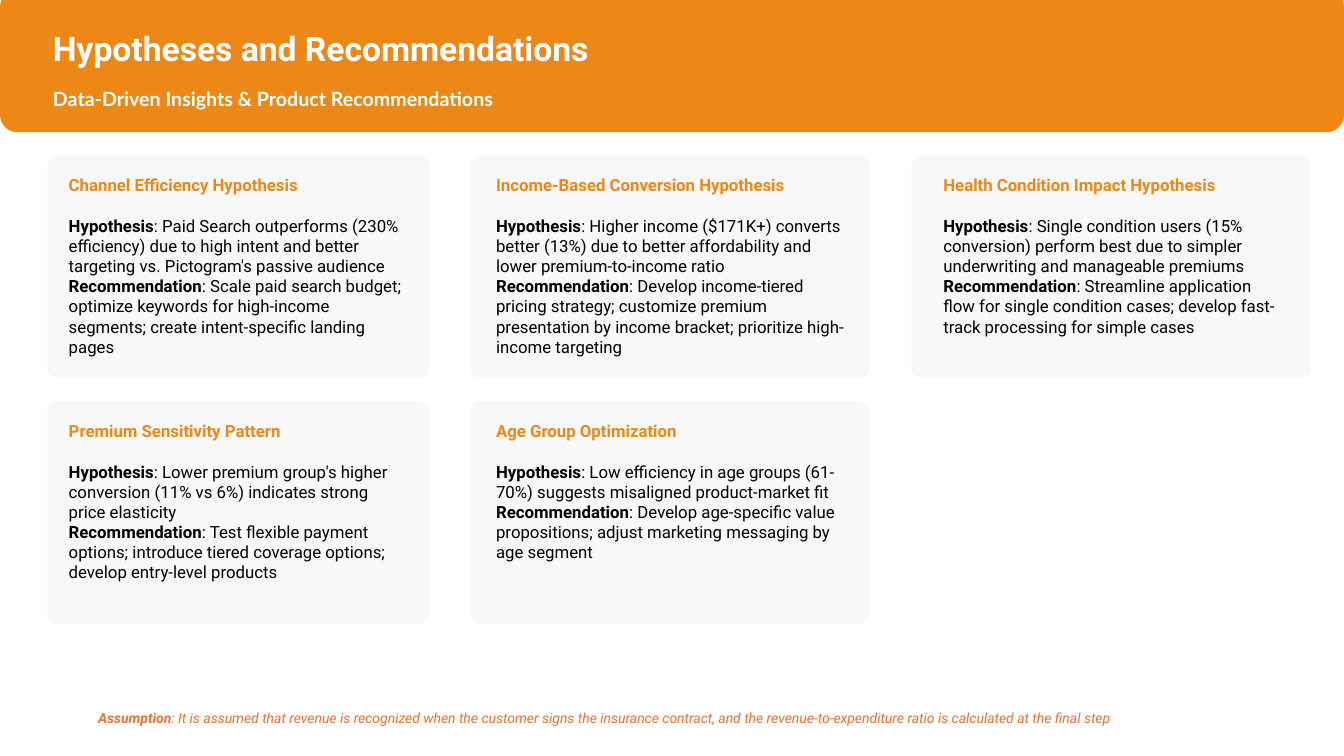
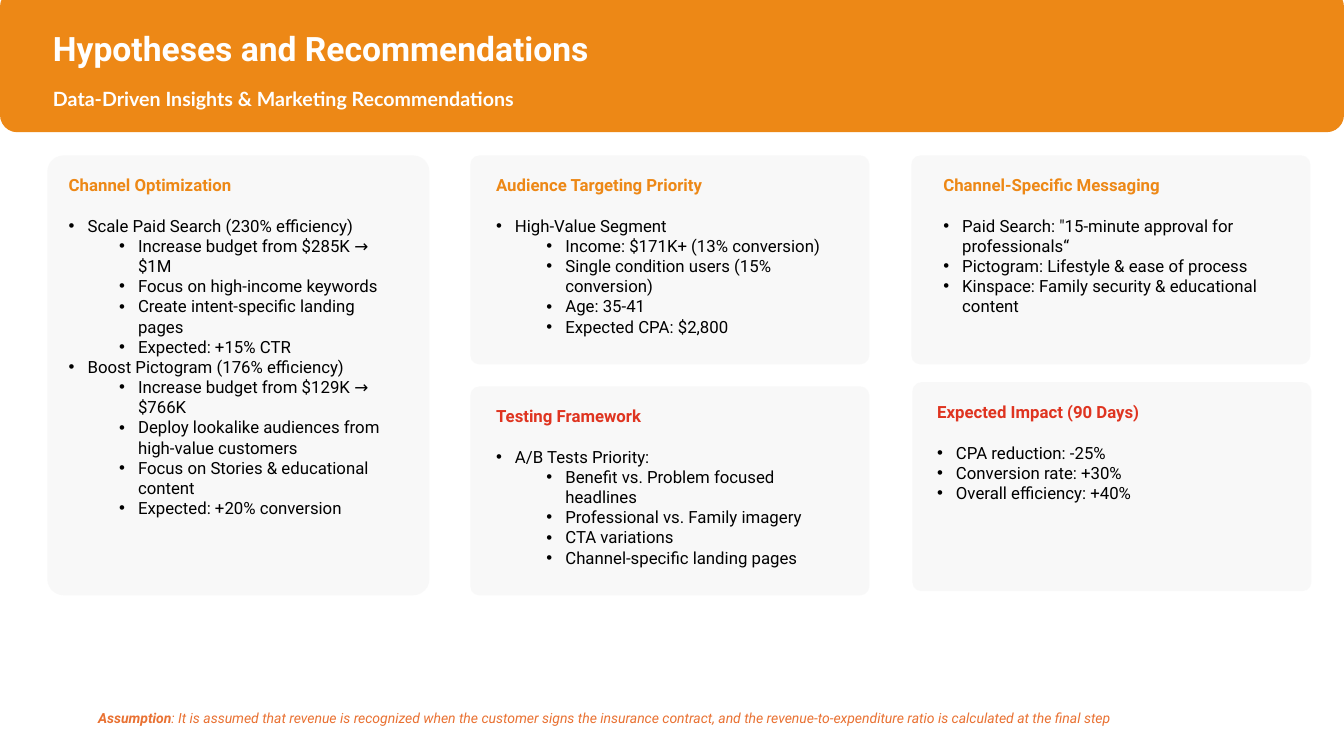
from lxml import etree
from pptx import Presentation
from pptx.dml.color import RGBColor
from pptx.enum.shapes import MSO_SHAPE
from pptx.enum.text import MSO_ANCHOR, MSO_AUTO_SIZE
from pptx.oxml.ns import qn
from pptx.util import Emu, Pt

COLORS = {
    "orange": "ED8816",
    "red": "DF3420",
    "note": "E97132",
    "card": "F2F2F2",
    "black": "000000",
    "white": "FFFFFF",
}
PX = 9525  # EMU per px, 96 px to the inch
WIDTH, HEIGHT = 1280, 720


def px(n):
    return Emu(n * PX)


class Deck:
    """Holds the shared style and the current slide."""

    body_font, sub_font = "Roboto", "Lato"
    line = 19  # height of a 12 pt line
    pad = 10  # top and bottom inset together
    bullet_hang = 18
    level_step = 48

    def __init__(self):
        self.prs = Presentation()
        self.prs.slide_width, self.prs.slide_height = px(WIDTH), px(HEIGHT)
        self.s = None

    def slide(self, title, subtitle):
        self.s = self.prs.slides.add_slide(self.prs.slide_layouts[6])
        # Header band
        self.box(0, -10, WIDTH, 136, "orange", 0.121)
        tf = self.text(41, 4, 639, 88, grow=False)
        tf.vertical_anchor = MSO_ANCHOR.MIDDLE
        p = self.para(tf, [(title, True)], 24, "white")
        p.line_spacing = 0.9
        tf = self.text(41, 78, 639, 33)
        self.para(tf, [(subtitle, True)], 14, "white", self.sub_font)

    def box(self, x, y, w, h, color, radius, alpha=None):
        sp = self.s.shapes.add_shape(
            MSO_SHAPE.ROUNDED_RECTANGLE, px(x), px(y), px(w), px(h))
        sp.adjustments[0] = radius
        sp.shadow.inherit = False
        sp.fill.solid()
        sp.fill.fore_color.rgb = RGBColor.from_string(COLORS[color])
        sp.line.fill.background()
        if alpha is not None:
            clr = sp.fill._xPr.find(qn("a:solidFill"))[0]
            etree.SubElement(clr, qn("a:alpha")).set("val", str(alpha * 1000))

    def text(self, x, y, w, h, grow=True):
        tf = self.s.shapes.add_textbox(px(x), px(y), px(w), px(h)).text_frame
        tf.word_wrap = True
        if grow:
            tf.auto_size = MSO_AUTO_SIZE.SHAPE_TO_FIT_TEXT
        return tf

    def para(self, tf, runs, size=12, color="black", font=None, italic=None):
        """Add a paragraph of (text, bold) runs."""
        p = tf.paragraphs[0]
        if p.runs:
            p = tf.add_paragraph()
        for text, bold in runs:
            r = p.add_run()
            r.text = text
            r.font.name = font or self.body_font
            r.font.size = Pt(size)
            r.font.bold = bold
            r.font.italic = italic
            r.font.color.rgb = RGBColor.from_string(COLORS[color])
        return p

    def bullet(self, tf, level, text):
        p = self.para(tf, [(text, False)])
        p.level = level
        pPr = p._p.get_or_add_pPr()
        pPr.set("marL", str(px(self.bullet_hang + level * self.level_step)))
        pPr.set("indent", str(px(-self.bullet_hang)))
        etree.SubElement(pPr, qn("a:buFont")).set("typeface", "Arial")
        etree.SubElement(pPr, qn("a:buChar")).set("char", "•")

    def card(self, column, y, h, heading, lines, color="orange"):
        """Draw a card with its heading and return its text frame."""
        x, w, text_x, text_w = column
        self.box(x, y, w, h, "card", 0.043, alpha=50)
        tf = self.text(text_x, y + 14, text_w, lines * self.line + self.pad)
        p = self.para(tf, [(heading, True)], color=color)
        p.space_after = Pt(14.5)
        return tf

    def hypothesis(self, column, y, h, heading, lines, guess, advice):
        tf = self.card(column, y, h, heading, lines)
        self.para(tf, [("Hypothesis", True), (": " + guess, False)])
        self.para(tf, [("Recommendation", True), (": " + advice, False)])

    def bullets(self, column, y, h, heading, lines, color, items):
        tf = self.card(column, y, h, heading, lines, color)
        for level, text in items:
            self.bullet(tf, level, text)

    def footer(self):
        tf = self.text(84, 671, 1088, 26)
        note = (": It is assumed that revenue is recognized when the customer signs "
                "the insurance contract, and the revenue-to-expenditure ratio is "
                "calculated at the final step")
        self.para(tf, [("Assumption", True), (note, False)], 10, "note", italic=True)


# Columns: card left and width, text left and width
LEFT = (45, 364, 56, 338)
MIDDLE = (448, 380, 463, 351)
RIGHT = (868, 380, 889, 338)
RIGHT_LOW = (869, 380, 883, 351)
TOP = 148
TITLE = "Hypotheses and Recommendations"

# Product slide: column, row, heading, lines, hypothesis, recommendation
HYPOTHESES = [
    (LEFT, 0, "Channel Efficiency Hypothesis", 8,
     "Paid Search outperforms (230% efficiency) due to high intent and better "
     "targeting vs. Pictogram's passive audience",
     "Scale paid search budget; optimize keywords for high-income segments; "
     "create intent-specific landing pages"),
    (MIDDLE, 0, "Income-Based Conversion Hypothesis", 9,
     "Higher income ($171K+) converts better (13%) due to better affordability "
     "and lower premium-to-income ratio",
     "Develop income-tiered pricing strategy; customize premium presentation by "
     "income bracket; prioritize high-income targeting"),
    (RIGHT, 0, "Health Condition Impact Hypothesis", 8,
     "Single condition users (15% conversion) perform best due to simpler "
     "underwriting and manageable premiums",
     "Streamline application flow for single condition cases; develop "
     "fast-track processing for simple cases"),
    (LEFT, 1, "Premium Sensitivity Pattern", 8,
     "Lower premium group's higher conversion (11% vs 6%) indicates strong "
     "price elasticity",
     "Test flexible payment options; introduce tiered coverage options; develop "
     "entry-level products"),
    (MIDDLE, 1, "Age Group Optimization", 7,
     "Low efficiency in age groups (61-70%) suggests misaligned product-market fit",
     "Develop age-specific value propositions; adjust marketing messaging by "
     "age segment"),
]

# Marketing slide: column, top, height, heading, lines, colour, (level, text) items
ACTIONS = [
    (LEFT, TOP, 419, "Channel Optimization", 15, "orange", [
        (0, "Scale Paid Search (230% efficiency)"),
        (1, "Increase budget from $285K → $1M"),
        (1, "Focus on high-income keywords"),
        (1, "Create intent-specific landing pages"),
        (1, "Expected: +15% CTR"),
        (0, "Boost Pictogram (176% efficiency)"),
        (1, "Increase budget from $129K → $766K"),
        (1, "Deploy lookalike audiences from high-value customers"),
        (1, "Focus on Stories & educational content"),
        (1, "Expected: +20% conversion"),
    ]),
    (MIDDLE, TOP, 199, "Audience Targeting Priority", 8, "orange", [
        (0, "High-Value Segment"),
        (1, "Income: $171K+ (13% conversion)"),
        (1, "Single condition users (15% conversion)"),
        (1, "Age: 35-41"),
        (1, "Expected CPA: $2,800"),
    ]),
    (RIGHT, TOP, 199, "Channel-Specific Messaging", 7, "orange", [
        (0, 'Paid Search: "15-minute approval for professionals“'),
        (0, "Pictogram: Lifestyle & ease of process"),
        (0, "Kinspace: Family security & educational content"),
    ]),
    (MIDDLE, 368, 199, "Testing Framework", 7, "red", [
        (0, "A/B Tests Priority:"),
        (1, "Benefit vs. Problem focused headlines"),
        (1, "Professional vs. Family imagery"),
        (1, "CTA variations"),
        (1, "Channel-specific landing pages"),
    ]),
    (RIGHT_LOW, 364, 199, "Expected Impact (90 Days)", 5, "red", [
        (0, "CPA reduction: -25%"),
        (0, "Conversion rate: +30%"),
        (0, "Overall efficiency: +40%"),
    ]),
]


def main():
    deck = Deck()

    # Product recommendations
    deck.slide(TITLE, "Data-Driven Insights & Product Recommendations")
    card_h, row_step = 212, 234
    for column, row, *content in HYPOTHESES:
        deck.hypothesis(column, TOP + row * row_step, card_h, *content)
    deck.footer()

    # Marketing recommendations
    deck.slide(TITLE, "Data-Driven Insights & Marketing Recommendations")
    for action in ACTIONS:
        deck.bullets(*action)
    deck.footer()

    deck.prs.save("out.pptx")


if __name__ == "__main__":
    main()
